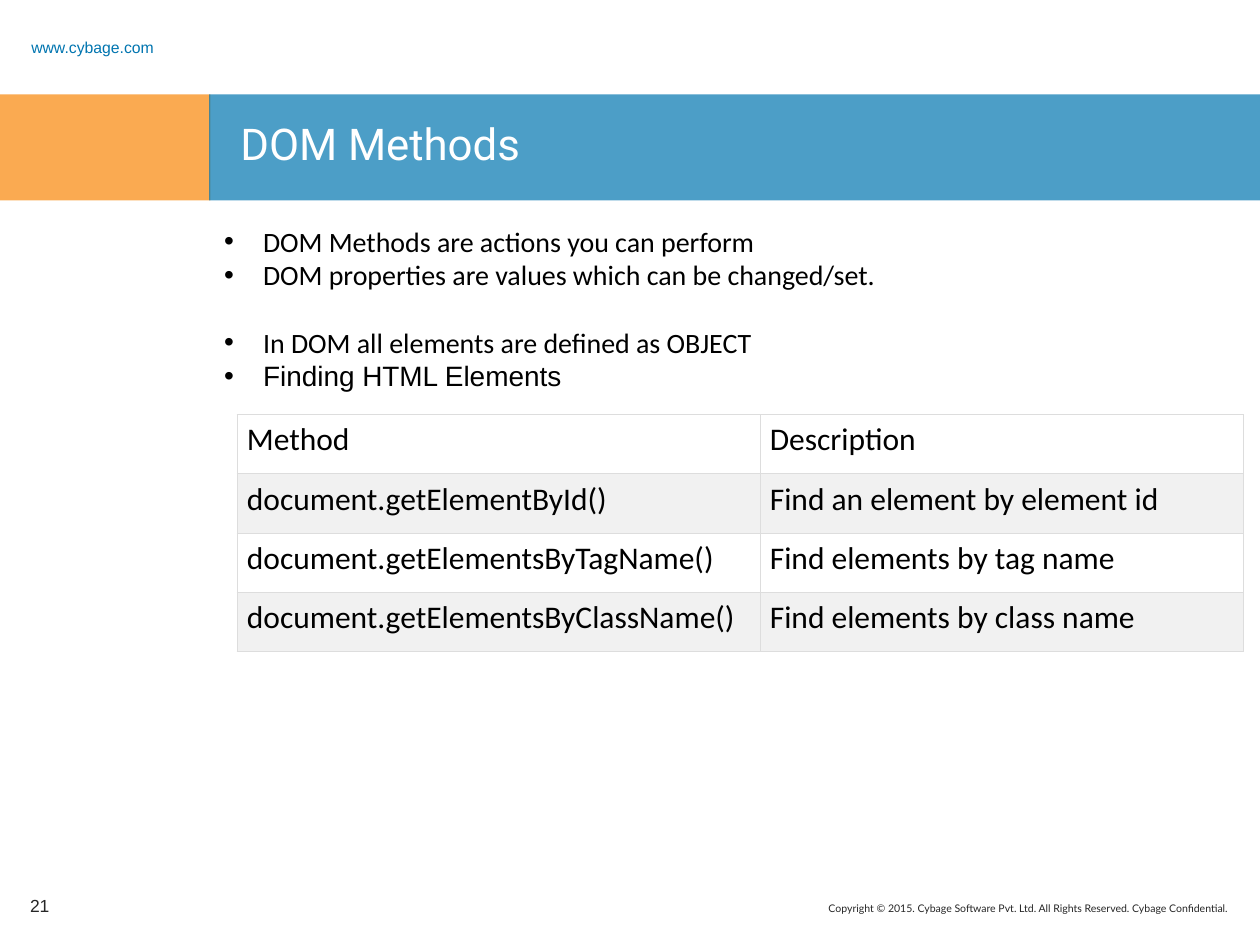
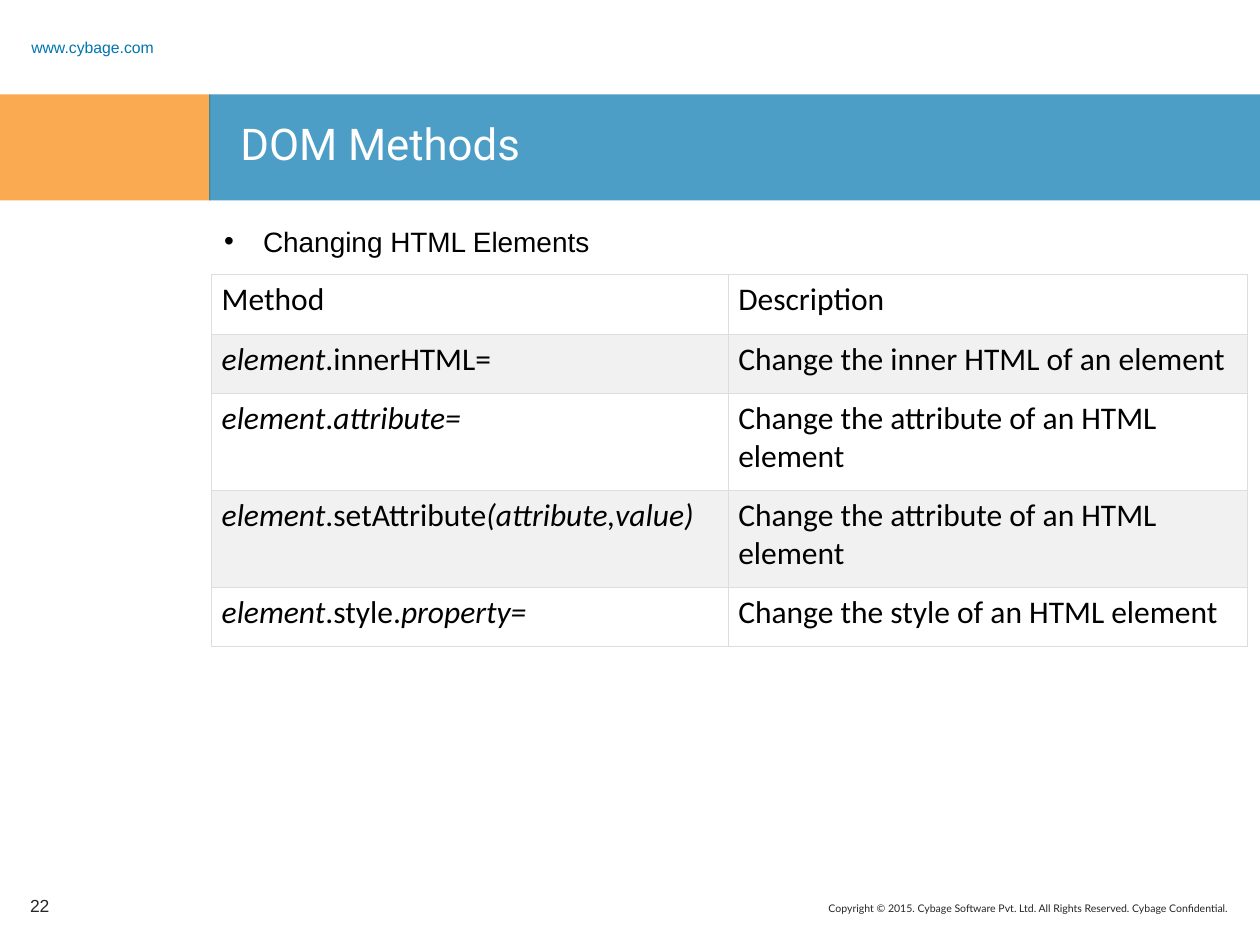
"""Build two slides on DOM methods, each with a bullet list and a table."""
from lxml.etree import SubElement
from pptx import Presentation
from pptx.dml.color import RGBColor
from pptx.enum.shapes import MSO_SHAPE
from pptx.enum.text import MSO_ANCHOR, PP_ALIGN
from pptx.oxml import parse_xml
from pptx.oxml.ns import nsdecls, qn
from pptx.util import Pt

SCALE = 9144  # EMU per px, at 100 px to the inch

ORANGE = RGBColor(0xF8, 0x86, 0x08)
BLUE = RGBColor(0x00, 0x75, 0xB0)
WHITE = RGBColor(0xFF, 0xFF, 0xFF)
BLACK = RGBColor(0x00, 0x00, 0x00)
INK = RGBColor(0x26, 0x26, 0x26)
STRIPE = RGBColor(0xF1, 0xF1, 0xF1)
RULE = RGBColor(0xDD, 0xDD, 0xDD)

TITLE = {"name": "Roboto", "size": Pt(25)}
SITE = {"name": "Arial", "size": Pt(9)}
PAGE = {"name": "Arial", "size": Pt(10)}
LEGAL = {"name": "Lato", "size": Pt(6)}
BODY = {"name": "Calibri", "size": Pt(16)}
HEAD = {"name": "Arial", "size": Pt(16)}
CELL = {"name": "Calibri", "size": Pt(18)}

COPYRIGHT = ("Copyright © 2015. Cybage Software Pvt. Ltd. "
             "All Rights Reserved. Cybage Confidential.")
GAP = Pt(19.5)


def px(*sizes):
    return [size * SCALE for size in sizes]


def write(para, text, look, color):
    """Add text to a paragraph, with the parts between asterisks in italics."""
    for index, part in enumerate(text.split("*")):
        if part:
            run = para.add_run()
            run.text = part
            run.font.italic = index % 2 == 1
            run.font.color.rgb = color
            for key, value in look.items():
                setattr(run.font, key, value)


def add_box(slide, area, anchor=MSO_ANCHOR.TOP):
    frame = slide.shapes.add_textbox(*px(*area)).text_frame
    frame.word_wrap = True
    frame.vertical_anchor = anchor
    return frame


def add_label(slide, area, text, look, color, anchor=MSO_ANCHOR.TOP, **layout):
    para = add_box(slide, area, anchor).paragraphs[0]
    for key, value in layout.items():
        setattr(para, key, value)
    write(para, text, look, color)


def add_band(slide, area, color):
    band = slide.shapes.add_shape(MSO_SHAPE.RECTANGLE, *px(*area))
    band.shadow.inherit = False
    band.line.fill.background()
    band.fill.solid()
    band.fill.fore_color.rgb = color
    tint = band.fill._xPr.find(".//" + qn("a:srgbClr"))
    SubElement(tint, qn("a:alpha"), val="70000")


def add_bullets(slide, area, items):
    """Write a bullet list from (text, look, space before) items."""
    frame = add_box(slide, area)
    for index, (text, look, space) in enumerate(items):
        para = frame.add_paragraph() if index else frame.paragraphs[0]
        props = para._p.get_or_add_pPr()
        indent = 31 * SCALE
        props.set("marL", str(indent))
        props.set("indent", str(-indent))
        SubElement(props, qn("a:buFont"), typeface="Arial")
        SubElement(props, qn("a:buChar"), char="•")
        if space:
            para.space_before = space
        write(para, text, look, BLACK)


def add_borders(cell):
    props = cell._tc.get_or_add_tcPr()
    for index, side in enumerate("LRTB"):
        props.insert(index, parse_xml(
            f'<a:ln{side} {nsdecls("a")} w="4318"><a:solidFill>'
            f'<a:srgbClr val="{RULE}"/></a:solidFill></a:ln{side}>'))


def add_grid(slide, left, top, widths, heights, rows):
    """Draw a striped table with thin borders."""
    area = px(left, top, sum(widths), sum(heights))
    table = slide.shapes.add_table(len(rows), len(widths), *area).table
    table.first_row = table.horz_banding = False
    for column, width in zip(table.columns, px(*widths)):
        column.width = width
    for row, height in zip(table.rows, px(*heights)):
        row.height = height
    for line, texts in enumerate(rows):
        for place, text in enumerate(texts):
            cell = table.cell(line, place)
            cell.margin_left = cell.margin_right = 8 * SCALE
            cell.fill.solid()
            cell.fill.fore_color.rgb = STRIPE if line % 2 else WHITE
            add_borders(cell)
            write(cell.text_frame.paragraphs[0], text, CELL, BLACK)


def add_page(deck, title, number):
    """Add a slide with the shared bands, title and footers."""
    slide = deck.slides.add_slide(deck.slide_layouts[6])
    add_label(slide, (408, 711, 576, 26), COPYRIGHT, LEGAL, INK,
              alignment=PP_ALIGN.RIGHT)
    add_band(slide, (0, 75, 167, 84), ORANGE)
    add_band(slide, (166, 75, 834, 84), BLUE)
    add_label(slide, (15, 24, 150, 19), "www.cybage.com", SITE, BLUE,
              MSO_ANCHOR.MIDDLE, line_spacing=1.5)
    add_label(slide, (181, 88, 794, 62), title, TITLE, WHITE)
    add_label(slide, (14, 699, 54, 40), str(number), PAGE, INK,
              MSO_ANCHOR.MIDDLE)
    return slide


def main():
    deck = Presentation()
    deck.slide_width, deck.slide_height = px(1000, 750)

    find = add_page(deck, "DOM Methods", 21)
    add_bullets(find, (168, 173, 806, 217), [
        ("DOM Methods are actions you can perform", BODY, None),
        ("DOM properties are values which can be changed/set.", BODY, None),
        ("In DOM all elements are defined as OBJECT", BODY, GAP),
        ("Finding HTML Elements", HEAD, None),
    ])
    add_grid(find, 188, 329, (415, 384), [47] * 4, [
        ("Method", "Description"),
        ("document.getElementById()", "Find an element by element id"),
        ("document.getElementsByTagName()", "Find elements by tag name"),
        ("document.getElementsByClassName()", "Find elements by class name"),
    ])

    change = add_page(deck, "DOM Methods", 22)
    add_bullets(change, (168, 173, 806, 110),
                [("Changing HTML Elements", HEAD, None)])
    add_grid(change, 168, 218, (410, 412), (47, 47, 77, 77, 47), [
        ("Method", "Description"),
        ("*element*.innerHTML=", "Change the inner HTML of an element"),
        ("*element*.*attribute=*", "Change the attribute of an HTML element"),
        ("*element*.setAttribute*(attribute,value)*",
         "Change the attribute of an HTML element"),
        ("*element*.style.*property=*", "Change the style of an HTML element"),
    ])
    deck.save("out.pptx")


if __name__ == "__main__":
    main()
